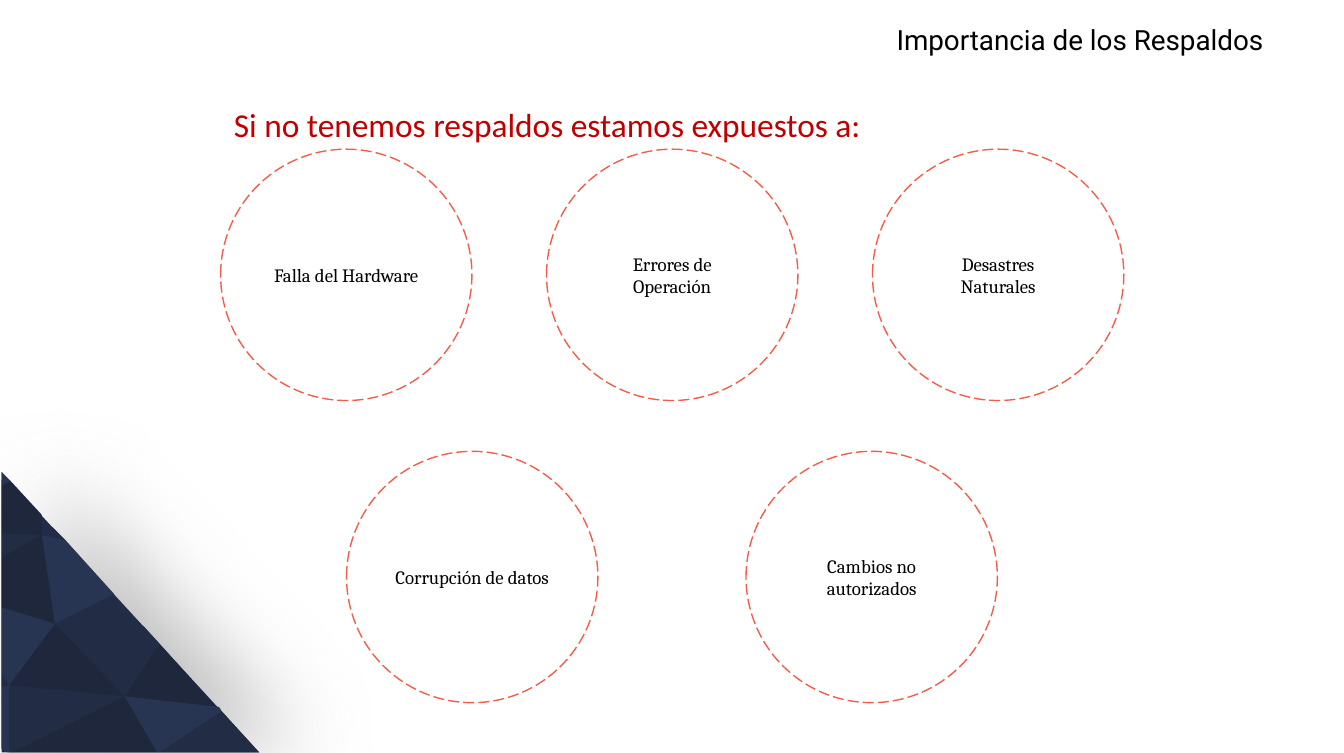
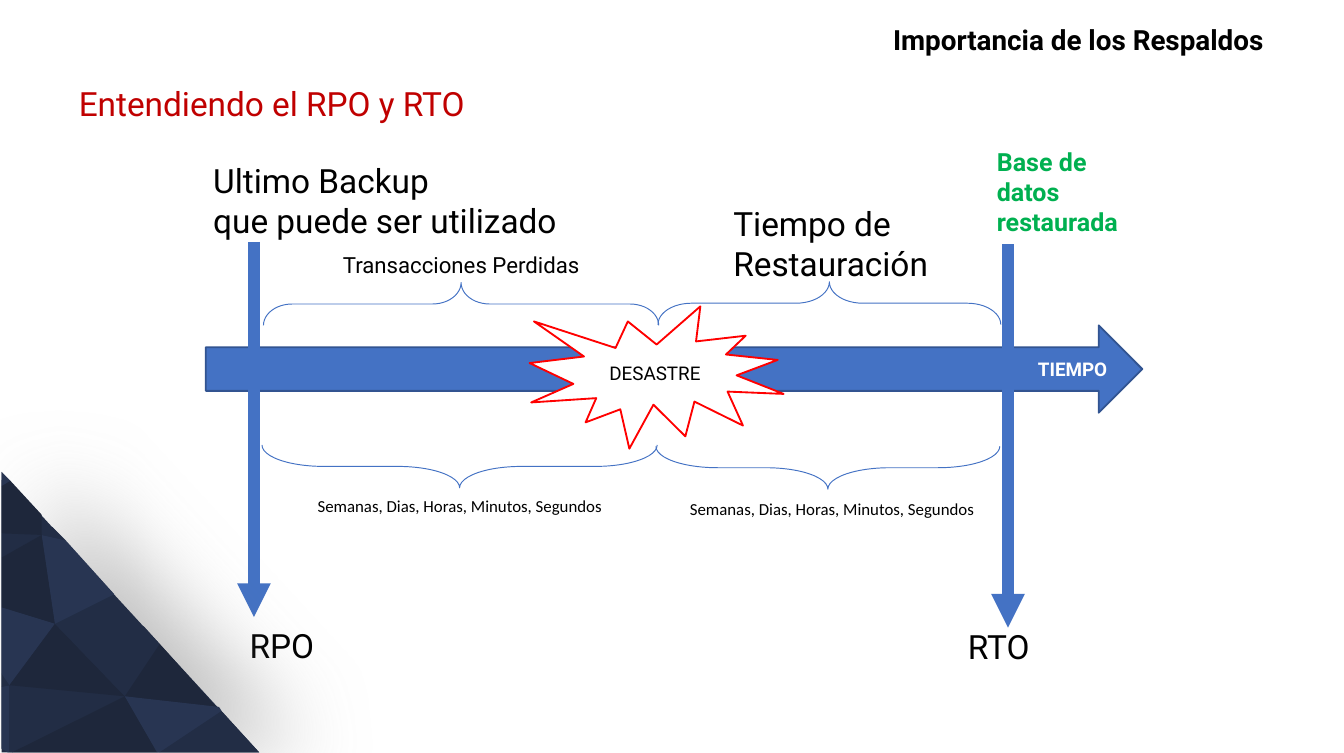
"""Build two slides on the importance of backups."""
from lxml import etree
from pptx import Presentation
from pptx import util as u
from pptx.dml import color
from pptx.enum import dml, shapes, text
from pptx.oxml import ns

BLACK, WHITE, RED, GREEN = "000000", "FFFFFF", "C00000", "00B050"
BLUE, BLUE_EDGE, CORAL, ALERT = "4472C4", "325491", "F55D4B", "FF0000"
NAVY, NAVY_LIGHT, NAVY_DARK = "222D45", "283552", "1E273B"
SHADOW_GREY = "808080"
LEFT, CENTER, RIGHT = text.PP_ALIGN.LEFT, text.PP_ALIGN.CENTER, text.PP_ALIGN.RIGHT
TITLE = "Importancia de los Respaldos"
TITLE_RIGHT = 24.13
UNITS = "Semanas, Dias, Horas, Minutos, Segundos"
LARGE, SMALL = 17.9, 10.1

CORNER_SHADOW = [(0.03, 9.07), (4.7, 14.15), (0.03, 14.15)]
CORNER_FACETS = [
    (NAVY, [(0.03, 8.92), (4.9, 14.22), (0.03, 14.22)]),
    (NAVY_LIGHT, [(0.18, 12.95), (0.18, 14.22), (0.15, 14.22), (0.03, 14.15), (0.03, 12.98)]),
    (NAVY, [(0.03, 12.73), (0.18, 12.95), (0.03, 12.98)]),
    (NAVY, [(0.23, 14.22), (0.18, 14.22), (0.18, 12.95), (2.36, 13.16)]),
    (NAVY_LIGHT, [(0.03, 8.92), (0.2, 9.09), (0.03, 9.19)]),
    (NAVY, [(0.03, 10.08), (0.79, 10.11), (0.03, 10.54)]),
    (NAVY_DARK, [(0.2, 9.09), (0.79, 9.73), (0.79, 10.11), (0.03, 10.08), (0.03, 9.19)]),
    (NAVY_DARK, [(0.79, 10.11), (1.04, 11.79), (0.03, 11.48), (0.03, 10.54)]),
    (NAVY_LIGHT, [(0.03, 11.48), (1.04, 11.79), (0.18, 12.95), (0.03, 12.73)]),
    (NAVY_DARK, [(2.36, 13.16), (0.18, 12.95), (1.04, 11.79)]),
    (NAVY_DARK, [(2.97, 14.22), (0.23, 14.22), (2.36, 13.16)]),
    (NAVY, [(2.36, 13.16), (1.04, 11.79), (2.72, 11.84), (3.02, 12.17)]),
    (NAVY_LIGHT, [(1.04, 11.79), (0.79, 10.11), (1.24, 10.21), (2.16, 11.23)]),
    (NAVY, [(1.24, 10.21), (0.79, 10.11), (0.99, 9.96)]),
    (NAVY_DARK, [(4.11, 13.39), (2.36, 13.16), (3.02, 12.17)]),
    (NAVY_LIGHT, [(3.02, 14.22), (2.97, 14.22), (2.36, 13.16), (4.14, 13.36), (4.19, 13.44)]),
    (NAVY, [(4.9, 14.22), (3.02, 14.22), (4.19, 13.44)]),
]


def rgb(value):
    """Turn a hex string into a colour."""
    return color.RGBColor.from_string(value)


def lengths(*values):
    """Turn centimetres into slide lengths."""
    return [u.Cm(value) for value in values]


def write(frame, lines, size, ink=BLACK, font="Roboto", bold=False, align=LEFT):
    """Write one paragraph for each line."""
    frame.word_wrap = True
    for index, line in enumerate(lines):
        paragraph = frame.add_paragraph() if index else frame.paragraphs[0]
        paragraph.alignment = align
        run = paragraph.add_run()
        run.text = line
        run.font.name = font
        run.font.size = u.Pt(size)
        run.font.bold = bold
        run.font.color.rgb = rgb(ink)


def add_label(slide, box, lines, size, **style):
    """Add a text box that fits its text."""
    shape = slide.shapes.add_textbox(*lengths(*box))
    write(shape.text_frame, lines, size, **style)
    shape.text_frame.auto_size = text.MSO_AUTO_SIZE.SHAPE_TO_FIT_TEXT


def set_title(slide, left, bold):
    """Place the title at the top right."""
    title = slide.shapes.title
    title.left, title.top, title.width, title.height = lengths(left, 0.3, TITLE_RIGHT - left, 0.89)
    write(title.text_frame, [TITLE], 14.9, bold=bold, align=RIGHT)
    title.text_frame.vertical_anchor = text.MSO_ANCHOR.MIDDLE
    title.text_frame.auto_size = text.MSO_AUTO_SIZE.NONE


def add_figure(slide, kind, box, edge, weight, fill=None):
    """Add an outlined preset shape."""
    shape = slide.shapes.add_shape(kind, *lengths(*box))
    shape.shadow.inherit = False
    shape.line.color.rgb = rgb(edge)
    shape.line.width = u.Pt(weight)
    if fill:
        shape.fill.solid()
        shape.fill.fore_color.rgb = rgb(fill)
    else:
        shape.fill.background()
    return shape


def add_risk_row(slide, left, top, pitch, risks):
    """Add a row of dashed circles, one for each risk."""
    for index, lines in enumerate(risks):
        box = (left + index * pitch, top, 4.75, 4.75)
        circle = add_figure(slide, shapes.MSO_SHAPE.OVAL, box, CORAL, 0.75)
        circle.line.dash_style = dml.MSO_LINE.LONG_DASH
        frame = circle.text_frame
        frame.margin_left = frame.margin_right = u.Cm(0.18)
        frame.margin_top = frame.margin_bottom = u.Cm(0.18)
        write(frame, lines, SMALL, font="Cambria", align=CENTER)


def add_brace(slide, box, rotation, curl, point):
    """Add a brace turned to lie along the time arrow."""
    brace = add_figure(slide, shapes.MSO_SHAPE.RIGHT_BRACE, box, BLUE, 0.5)
    brace.rotation = rotation
    brace.adjustments[0] = curl
    brace.adjustments[1] = point


def add_down_arrow(slide, x, top, bottom):
    """Add a thick vertical arrow."""
    arrow = slide.shapes.add_connector(shapes.MSO_CONNECTOR.STRAIGHT, *lengths(x, top, x, bottom))
    arrow.line.color.rgb = rgb(BLUE)
    arrow.line.width = u.Pt(6)
    properties = arrow._element.spPr
    etree.SubElement(properties.find(ns.qn("a:ln")), ns.qn("a:tailEnd"), type="triangle")
    etree.SubElement(properties, ns.qn("a:effectLst"))


def add_facet(group, fill, points):
    """Add one filled polygon."""
    start, *others = [lengths(*point) for point in points]
    builder = group.shapes.build_freeform(*start)
    builder.add_line_segments(others, close=True)
    facet = builder.convert_to_shape()
    facet.shadow.inherit = False
    facet.fill.solid()
    facet.fill.fore_color.rgb = rgb(fill)
    facet.line.fill.background()
    return facet


def add_corner(slide):
    """Add the faceted corner with its soft shadow."""
    group = slide.shapes.add_group_shape()
    base = add_facet(group, NAVY, CORNER_SHADOW)
    effects = base._element.spPr.find(ns.qn("a:effectLst"))
    shadow = etree.SubElement(effects, ns.qn("a:outerShdw"), blurRad=str(u.Pt(48)),
                              dist=str(u.Pt(28)), dir="0", algn="ctr", rotWithShape="0")
    tint = etree.SubElement(shadow, ns.qn("a:srgbClr"), val=SHADOW_GREY)
    etree.SubElement(tint, ns.qn("a:alpha"), val="50000")
    for fill, points in CORNER_FACETS:
        add_facet(group, fill, points)


def build_risks(slide):
    """Show what happens without backups."""
    set_title(slide, 6.99, bold=False)
    add_label(slide, (4.17, 1.85, 14.02, 1.02), ["Si no tenemos respaldos estamos expuestos a:"],
              LARGE, ink=RED, font="Calibri")
    add_risk_row(slide, 4.17, 2.82, 6.16,
                 [["Falla del Hardware"], ["Errores de Operación"], ["Desastres", "Naturales"]])
    add_risk_row(slide, 6.55, 8.53, 7.55, [["Corrupción de datos"], ["Cambios no autorizados"]])
    add_corner(slide)


def build_timeline(slide):
    """Show RPO and RTO around a disaster."""
    set_title(slide, 12.7, bold=True)
    add_label(slide, (1.24, 1.45, 17.07, 1.02), ["Entendiendo el RPO y RTO"], LARGE, ink=RED)
    add_label(slide, (4.47, 11.68, 7.95, 1.02), ["RPO"], LARGE)
    add_label(slide, (12.55, 11.71, 7.16, 1.02), ["RTO"], LARGE, align=RIGHT)
    time = add_figure(slide, shapes.MSO_SHAPE.RIGHT_ARROW, (3.89, 6.15, 17.7, 1.65),
                      BLUE_EDGE, 1, BLUE)
    write(time.text_frame, ["TIEMPO"], SMALL, ink=WHITE, bold=True, align=RIGHT)
    disaster = add_figure(slide, shapes.MSO_SHAPE.EXPLOSION1, (10.01, 5.79, 4.8, 2.69),
                          ALERT, 1, WHITE)
    write(disaster.text_frame, ["DESASTRE"], SMALL, align=CENTER)
    add_label(slide, (3.78, 2.9, 7.47, 1.78), ["Ultimo Backup", "que puede ser utilizado"], LARGE)
    add_down_arrow(slide, 4.8, 4.57, 11.66)
    add_down_arrow(slide, 19.05, 4.62, 11.86)
    add_label(slide, (13.61, 3.71, 5.18, 1.78), ["Tiempo de Restauración"], LARGE)
    add_brace(slide, (8.31, 2.01, 0.81, 7.47), 270, 0.67, 0.5)
    add_brace(slide, (15.27, 2.49, 0.81, 6.48), 270, 0.78, 0.5)
    add_brace(slide, (8.28, 5.08, 0.81, 7.47), 90, 1.44, 0.5)
    add_brace(slide, (15.24, 5.59, 0.81, 6.5), 90, 1.44, 0.5)
    add_label(slide, (18.59, 2.64, 3, 1.98), ["Base de datos restaurada"], 13.4, ink=GREEN, bold=True)
    add_label(slide, (4.98, 4.62, 7.47, 0.76), ["Transacciones Perdidas"], 11.9, align=CENTER)
    for box in ((4.95, 9.25, 7.47, 0.64), (12.47, 9.3, 6.5, 0.64)):
        add_label(slide, box, [UNITS], 9, font="Calibri", align=CENTER)
    add_corner(slide)


def main():
    """Build and save the presentation."""
    presentation = Presentation()
    presentation.slide_width, presentation.slide_height = lengths(25.4, 14.23)
    title_only = presentation.slide_layouts[5]
    for build in (build_risks, build_timeline):
        build(presentation.slides.add_slide(title_only))
    presentation.save("out.pptx")


if __name__ == "__main__":
    main()
